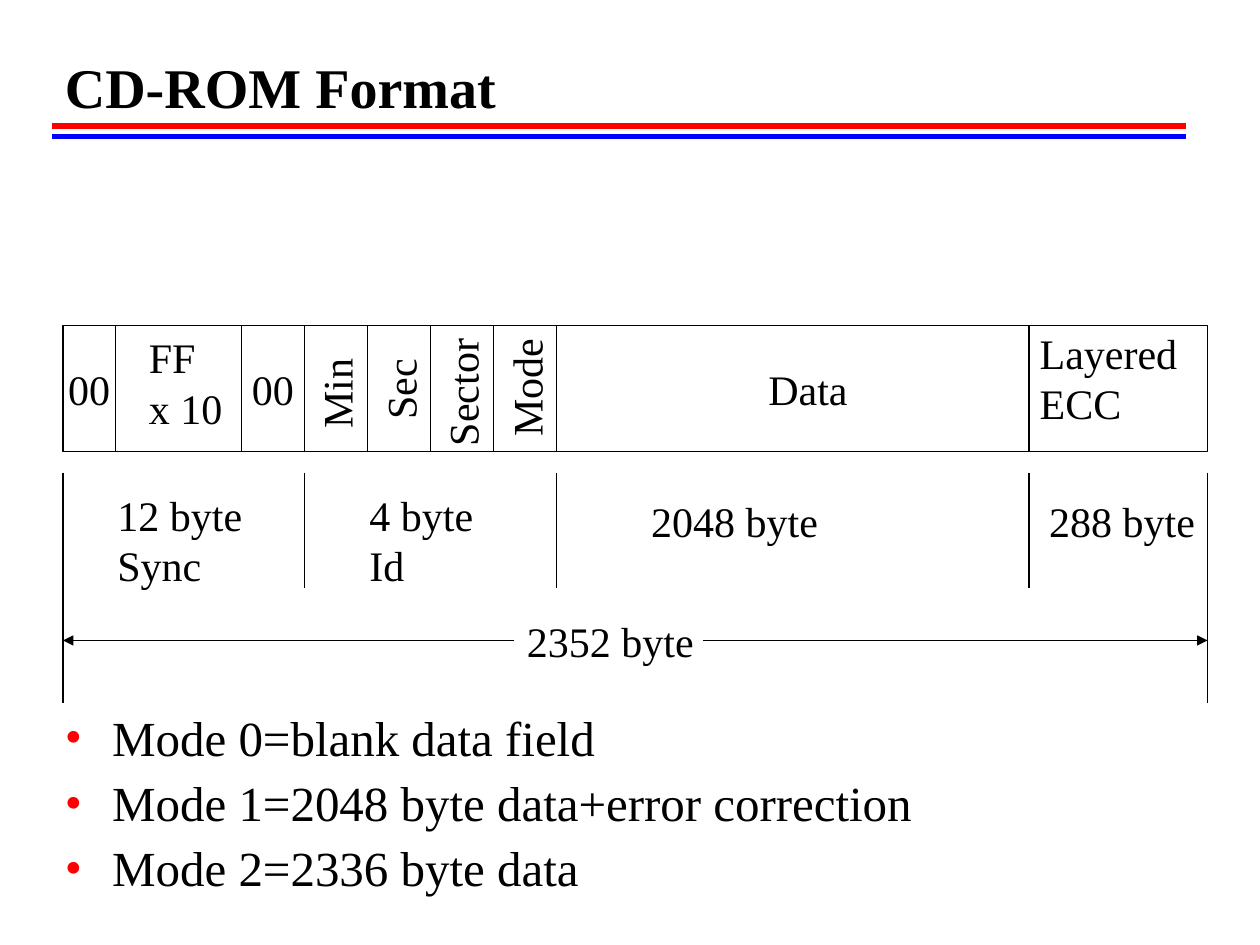
from dataclasses import dataclass
from itertools import accumulate

from lxml.etree import SubElement as Sub
from pptx import Presentation
from pptx.dml.color import RGBColor as Rgb
from pptx.enum.shapes import MSO_CONNECTOR as Conn, MSO_SHAPE as Form
from pptx.enum.text import MSO_ANCHOR as Anchor, MSO_AUTO_SIZE as Fit, PP_ALIGN as Align
from pptx.oxml.ns import qn
from pptx.util import Pt


@dataclass(frozen=True)
class Theme:
    """Hold the colours, font and sizes of the slide."""
    ink: str = "000000"
    red: str = "FF0000"
    blue: str = "0000FF"
    font: str = "Times New Roman"
    head: int = 32
    body: int = 28
    label: int = 24
    thin: float = 0.75
    thick: float = 3


LOOK = Theme()


def write(frame, text, size=LOOK.label, bold=False, align=Align.LEFT,
          anchor=Anchor.TOP, wrap=False, bullet=False):
    """Fill a text frame, one paragraph per line of text."""
    frame.word_wrap = wrap
    frame.vertical_anchor = anchor
    for i, line in enumerate(text.split("\n")):
        para = frame.add_paragraph() if i else frame.paragraphs[0]
        para.alignment = align
        run = para.add_run()
        run.text = line
        font = run.font
        font.name, font.size, font.bold = LOOK.font, Pt(size), bold
        font.color.rgb = Rgb.from_string(LOOK.ink)
        if bullet:
            para.line_spacing, para.space_before = 0.9, Pt(7)
            mark(para)


def mark(para):
    """Give a paragraph a red hanging bullet."""
    props = para._p.get_or_add_pPr()
    props.set("marL", str(Pt(27)))
    props.set("indent", str(Pt(-27)))
    tint = Sub(props, qn("a:buClr"))
    Sub(tint, qn("a:srgbClr"), val=LOOK.red)
    Sub(props, qn("a:buFont"), typeface=LOOK.font)
    Sub(props, qn("a:buChar"), char="•")


def label(slide, text, x, y, wide, high=36, turn=0, grow=True, **style):
    """Add a text box, turned if asked."""
    box = slide.shapes.add_textbox(Pt(x), Pt(y), Pt(wide), Pt(high))
    box.rotation = turn
    write(box.text_frame, text, **style)
    box.text_frame.auto_size = Fit.SHAPE_TO_FIT_TEXT if grow else Fit.NONE


def cell(slide, text, x, wide):
    """Add one outlined field of the sector."""
    box = slide.shapes.add_shape(Form.RECTANGLE, Pt(x), Pt(186), Pt(wide), Pt(72))
    box.shadow.inherit = False
    box.fill.background()
    box.line.color.rgb = Rgb.from_string(LOOK.ink)
    box.line.width = Pt(LOOK.thin)
    if text:
        write(box.text_frame, text, align=Align.CENTER, anchor=Anchor.MIDDLE)


def rule(slide, start, end, color=LOOK.ink, width=LOOK.thin, arrow=False):
    """Draw a straight line, with an arrowhead at its end if asked."""
    line = slide.shapes.add_connector(Conn.STRAIGHT, *map(Pt, start + end))
    line.line.color.rgb = Rgb.from_string(color)
    line.line.width = Pt(width)
    if arrow:
        Sub(line.line._get_or_add_ln(), qn("a:tailEnd"), type="triangle")
    Sub(line._element.spPr, qn("a:effectLst"))


def main():
    """Build the slide and save it."""
    deck = Presentation()
    deck.slide_width, deck.slide_height = Pt(720), Pt(540)
    slide = deck.slides.add_slide(deck.slide_layouts[6])

    for y, color in ((78, LOOK.blue), (72, LOOK.red)):
        rule(slide, (30, y), (678, y), color, LOOK.thick)
    label(slide, "CD-ROM Format", 30, 18, 648, 54, grow=False, size=LOOK.head,
          bold=True, anchor=Anchor.BOTTOM, wrap=True)

    wides = [30, 72, 36, 36, 36, 36, 36, 270, 102]
    edges = list(accumulate(wides, initial=36))
    for i, (x, wide) in enumerate(zip(edges, wides)):
        cell(slide, "00" if i in (0, 2) else "", x, wide)

    for text, x, y, wide in (("Min", 164, 206, 56), ("Sec", 203, 203.5, 51),
                             ("Sector", 225, 205, 78), ("Mode", 264, 202, 73)):
        label(slide, text, x, y, wide, turn=270)
    for text, x, y, wide in (("Data", 432, 204, 62), ("2048 byte", 365, 279.5, 112),
                             ("288 byte", 592.5, 279.5, 100),
                             ("2352 byte", 294, 348, 112)):
        label(slide, text, x, y, wide)
    for text, x, y, wide in (("FF\nx 10", 78, 186, 59), ("Layered\nECC", 587, 183.6, 95),
                             ("12 byte\nSync", 60, 276, 88), ("4 byte\nId", 204, 276, 76)):
        label(slide, text, x, y, wide, 64.8)

    left, right = edges[0], edges[-1]
    for x in (left, edges[3], edges[7], edges[8], right):
        rule(slide, (x, 270), (x, 402 if x in (left, right) else 336))
    for near, far in ((294, left), (402, right)):
        rule(slide, (near, 366), (far, 366), arrow=True)

    modes = "Mode 0=blank data field\nMode 1=2048 byte data+error correction\nMode 2=2336 byte data"
    label(slide, modes, 30, 404.5, 650, 117, grow=False, size=LOOK.body, wrap=True, bullet=True)
    deck.save("out.pptx")


if __name__ == "__main__":
    main()
